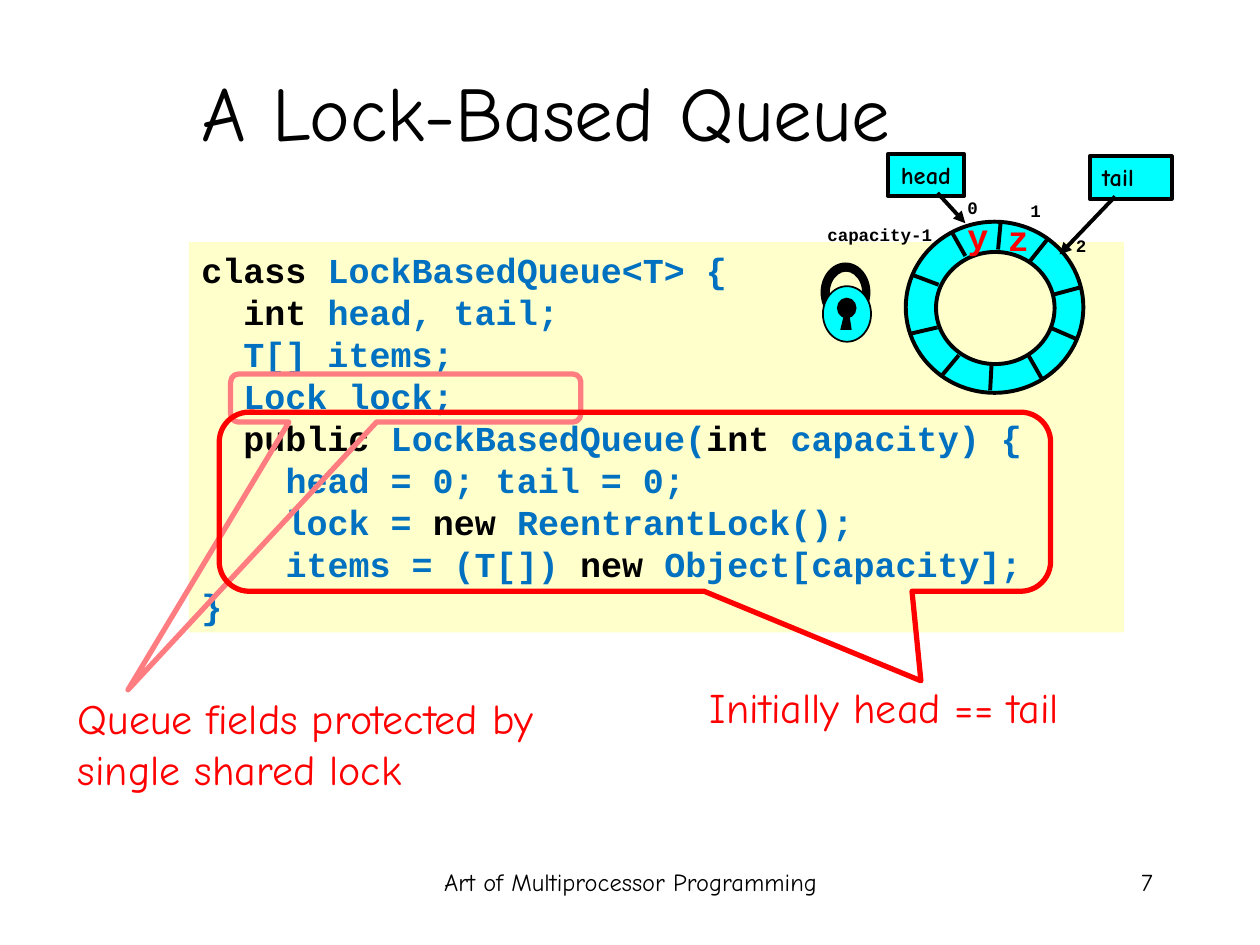
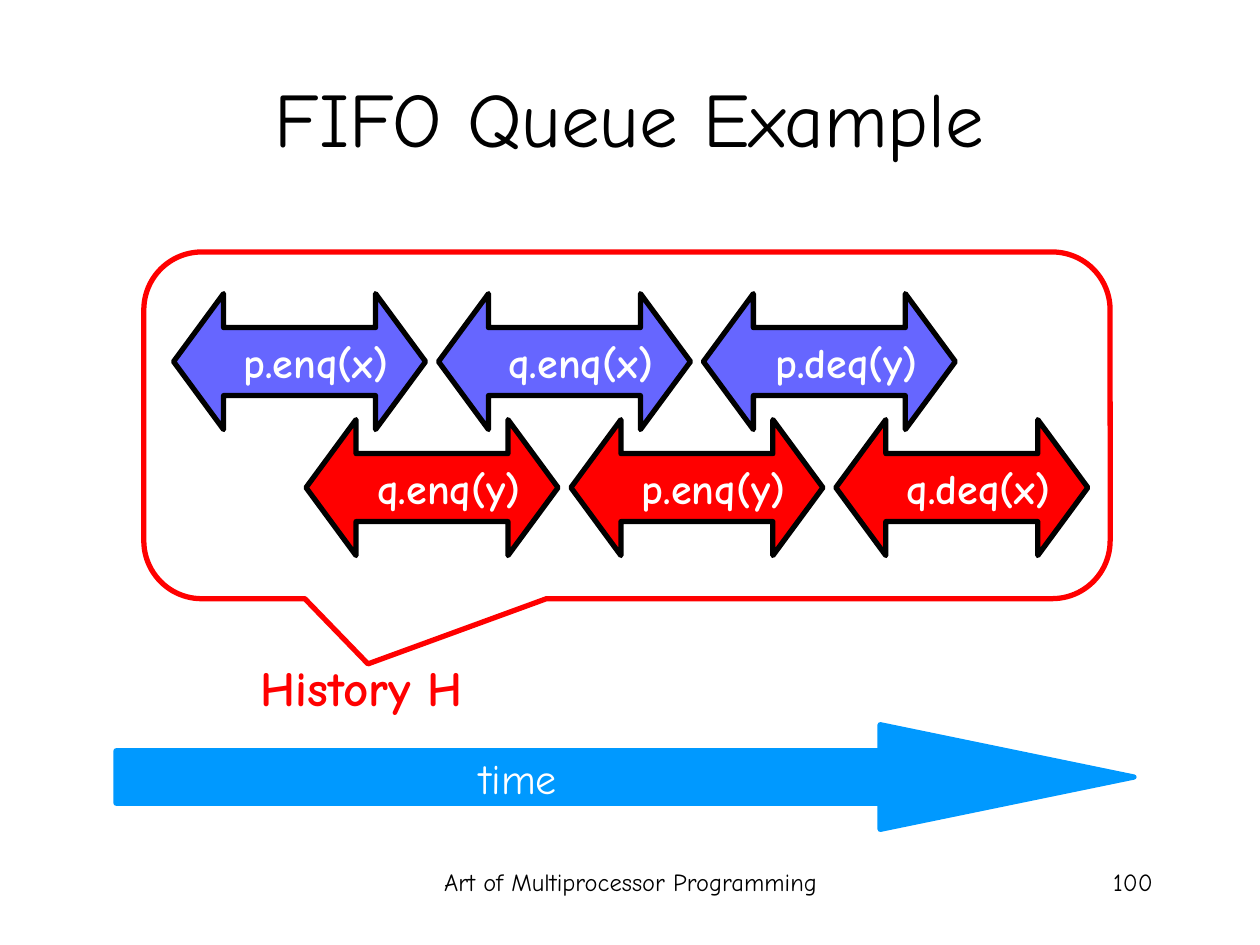
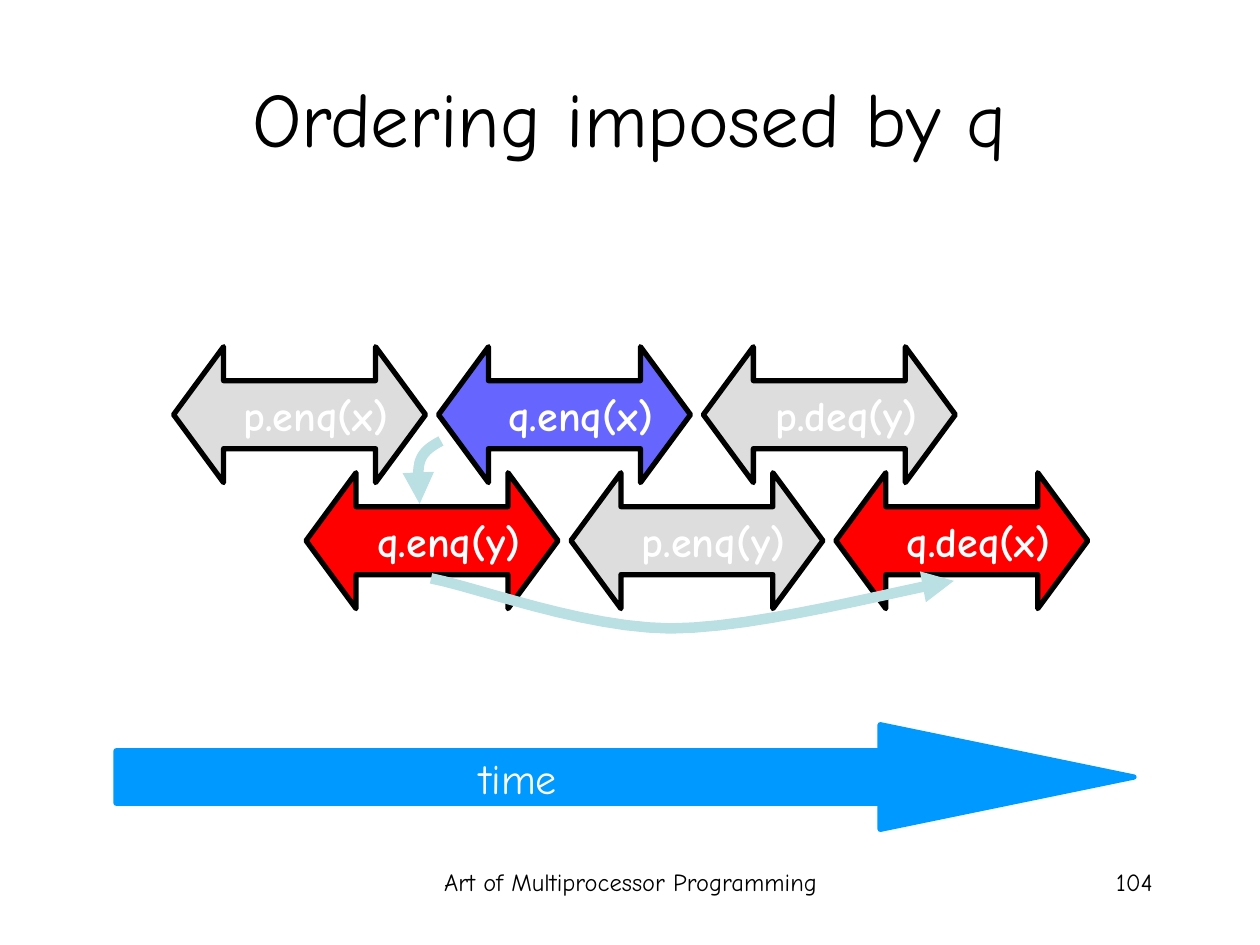
"""Build three slides on lock-based queues and the ordering of their calls."""
from lxml import etree
from pptx import Presentation, util as u
from pptx.dml.color import RGBColor as Rgb
from pptx.enum import shapes as es, text as et
from pptx.oxml.ns import qn

HUES = {"black": "000000", "white": "FFFFFF", "red": "FF0000", "pink": "FF7C80",
        "cyan": "00FFFF", "cream": "FFFFCC", "code": "0070C0", "violet": "6666FF",
        "grey": "DDDDDD", "time": "0099FF", "pale": "BBE0E3"}
INK = {k: Rgb.from_string(v) for k, v in HUES.items()}
COMIC, MONO = "Comic Neue", "Courier New"
KIND, AL, MID = es.MSO_SHAPE, et.PP_ALIGN, et.MSO_ANCHOR.MIDDLE
FIT = et.MSO_AUTO_SIZE.SHAPE_TO_FIT_TEXT


def paint(shp, fill=None, edge=None, width=3, adj=()):
    shp.shadow.inherit = False
    for part, hue in ((shp.fill, fill), (shp.line.fill, edge)):
        if hue:
            part.solid()
            part.fore_color.rgb = INK[hue]
        else:
            part.background()
    if edge:
        shp.line.width = u.Pt(width)
    for i, val in enumerate(adj):
        shp.adjustments[i] = val
    return shp


def write(shp, words, size, hues=("black",), align=AL.LEFT, bold=False, name=COMIC,
          pitch=None, **form):
    frame = shp.text_frame
    form = {"word_wrap": True, "vertical_anchor": et.MSO_ANCHOR.TOP, **form}
    for key, val in form.items():
        setattr(frame, key, val)
    face = {"name": name, "size": u.Pt(size), "bold": bold}
    for i, line in enumerate(words.split("\n")):
        para = frame.add_paragraph() if i else frame.paragraphs[0]
        para.alignment = align
        if pitch:
            para.line_spacing = u.Pt(pitch)
        for j, piece in enumerate(line.split("|")):
            if piece:
                run = para.add_run()
                run.text = piece
                for key, val in face.items():
                    setattr(run.font, key, val)
                run.font.color.rgb = INK[hues[j % len(hues)]]


deck = Presentation()
deck.slide_width, deck.slide_height = u.Cm(25.4), u.Cm(19.05)

heads = [("A Lock-Based Queue", "7", (1.27, 0.64, 20.85, 3.2), AL.LEFT, 2.8),
         ("FIFO Queue Example", "100", (1.27, 0.76, 22.86, 3.18), AL.CENTER, 0.25),
         ("Ordering imposed by q", "104", (1.27, 0.76, 22.86, 3.18), AL.CENTER, 0.25)]
for title, num, box, align, inset in heads:
    slide = deck.slides.add_slide(deck.slide_layouts[5])
    name = slide.shapes.title
    for key, val in zip(("left", "top", "width", "height"), box):
        setattr(name, key, u.Cm(val))
    write(name, title, 44, align=align, vertical_anchor=MID, margin_left=u.Cm(inset))
    for words, left, wide, align in (
            ("Art of Multiprocessor Programming", 8.69, 8.05, AL.CENTER),
            (num, 18.21, 5.28, AL.RIGHT)):
        foot = slide.shapes.add_textbox(*map(u.Cm, (left, 17.35, wide, 1.27)))
        write(foot, words, 14, align=align)
queue, fifo, order = deck.slides

CODE = """class |LockBasedQueue<T> {
  int |head, tail;
  |T[] items;
  |Lock lock;
  public |LockBasedQueue(|int |capacity) {
    |head = 0; tail = 0;
    |lock = |new |ReentrantLock();
    |items = (T[]) |new |Object[capacity];
|}"""
draw = queue.shapes
board = draw.add_shape(KIND.RECTANGLE, *map(u.Cm, (3.81, 4.88, 18.85, 7.87)))
write(paint(board, "cream"), CODE, 20, ("black", "code"), bold=True, name=MONO, pitch=24)

ovals = [((18.26, 4.47, 3.58, 3.45), "cyan", 2.25),
         ((18.87, 5.08, 2.39, 2.26), "cream", 2.25),
         ((16.56, 5.31, 0.97, 1.17), "black", 1),
         ((16.71, 5.46, 0.69, 0.91), "cream", 1),
         ((16.59, 5.77, 0.97, 1.12), "cyan", 1),
         ((16.89, 6.02, 0.36, 0.38), "black", 1)]
for box, fill, width in ovals:
    paint(draw.add_shape(KIND.OVAL, *map(u.Cm, box)), fill, "black", width)
hole = [(u.Cm(x), u.Cm(y)) for x, y in
        ((16.94, 6.65), (17.02, 6.32), (17.12, 6.32), (17.17, 6.65))]
pen = draw.build_freeform(*hole[0])
pen.add_line_segments(hole[1:], close=True)
paint(pen.convert_to_shape(), "black")

for words, box, wrap in (("head", (17.91, 3.1, 1.52, 0.86), False),
                         ("tail", (21.97, 3.15, 1.65, 0.86), True)):
    tag = draw.add_shape(KIND.RECTANGLE, *map(u.Cm, box))
    write(paint(tag, "cyan", "black", 2.25), words, 14, bold=True,
          word_wrap=wrap, auto_size=FIT)

spokes = [(18.97, 7.59, 19.33, 7.16), (20.75, 5.28, 21.11, 4.83),
          (21.23, 5.94, 21.79, 5.79), (18.34, 6.73, 18.9, 6.6),
          (18.39, 5.54, 18.92, 5.74), (21.16, 6.6, 21.69, 6.83),
          (19.2, 4.7, 19.46, 5.16), (20.17, 4.5, 20.12, 5.03),
          (20.73, 7.16, 21.01, 7.65), (19.99, 7.34, 19.96, 7.87)]
points = [(18.9, 3.89, 19.46, 4.5), (22.48, 3.96, 21.36, 5.13)]
for ends in spokes + points:
    line = draw.add_connector(es.MSO_CONNECTOR.STRAIGHT, *map(u.Cm, ends))
    line.line.color.rgb = INK["black"]
    line.line.width = u.Pt(2.25)
    if ends in points:
        etree.SubElement(line.line._get_or_add_ln(), qn("a:tailEnd"), type="triangle")
    etree.SubElement(line._element.spPr, qn("a:effectLst"))

marks = [("0", (19.25, 3.84, 0.71, 0.69), 10, "black"),
         ("1", (20.52, 3.91, 0.71, 0.69), 10, "black"),
         ("capacity-1", (16.43, 4.39, 2.62, 0.69), 10, "black"),
         ("2", (21.44, 4.62, 0.71, 0.69), 10, "black"),
         ("y", (19.25, 4.19, 0.94, 1.12), 20, "red"),
         ("z", (20.07, 4.24, 0.94, 1.12), 20, "red")]
for words, box, size, hue in marks:
    write(draw.add_textbox(*map(u.Cm, box)), words, size, (hue,), bold=True,
          name=MONO, word_wrap=False, auto_size=FIT)

calls = [(queue, (4.65, 7.54, 7.06, 0.97), "pink", (-0.793, 6.063, 0.167)),
         (queue, (4.42, 8.31, 16.76, 3.61), "red", (0.344, 1, 0.167)),
         (fifo, (2.9, 5.08, 19.48, 6.99), "red", (-0.268, 0.688, 0.167))]
notes = [("Queue fields protected by single shared lock", (1.32, 13.84, 9.83, 2.29), AL.LEFT),
         ("Initially head == tail", (12.7, 13.61, 10.26, 1.27), AL.CENTER)]
for words, box, align in notes:
    write(draw.add_textbox(*map(u.Cm, box)), words, 24, ("red",), align)

steps = ["p.enq(x)", "q.enq(y)", "q.enq(x)", "p.enq(y)", "p.deq(y)", "q.deq(x)"]
for slide, top, dim in ((fifo, 5.92, ""), (order, 6.99, "p")):
    for i, step in enumerate(steps):
        row = i % 2
        box = (3.5 + 2.67 * i, top + 2.54 * row, 5.08, 2.74)
        span = slide.shapes.add_shape(KIND.LEFT_RIGHT_ARROW, *map(u.Cm, box))
        fill = "grey" if step[0] == dim else ("violet", "red")[row]
        write(paint(span, fill, "black", adj=(0.5, 0.368)), step, 24, ("white",),
              AL.RIGHT, True, word_wrap=False, vertical_anchor=MID)
    axis = slide.shapes.add_shape(KIND.RIGHT_ARROW, *map(u.Cm, (2.34, 14.61, 20.52, 2.11)))
    paint(axis, "time", "time", adj=(0.5, 2.425))
    label = slide.shapes.add_textbox(*map(u.Cm, (9.42, 15.04, 2.06, 1.27)))
    write(label, "time", 24, ("white",), AL.RIGHT, word_wrap=False, auto_size=FIT)

for slide, box, edge, adj in calls:
    call = slide.shapes.add_shape(KIND.ROUNDED_RECTANGULAR_CALLOUT, *map(u.Cm, box))
    paint(call, None, edge, adj=adj)
past = fifo.shapes.add_textbox(*map(u.Cm, (4.98, 13.13, 4.6, 1.45)))
write(past, "History H", 28, ("red",), AL.RIGHT, True, word_wrap=False, auto_size=FIT)

curves = [[(19.23, 11.71), (18.26, 11.86), (15.27, 12.67), (13.51, 12.67),
           (11.76, 12.65), (9.68, 11.86), (8.69, 11.66)],
          [(8.46, 10.16), (8.43, 9.86), (8.41, 9.53), (8.46, 9.32),
           (8.53, 9.09), (8.71, 8.99), (8.89, 8.89)]]
for curve in curves:
    pen = order.shapes.build_freeform(*map(u.Cm, curve[0]))
    for k in (0, 3):
        for t in (n / 12 for n in range(1, 13)):
            mix = ((1 - t) ** 3, 3 * t * (1 - t) ** 2, 3 * t * t * (1 - t), t ** 3)
            spot = [u.Cm(sum(m * p[d] for m, p in zip(mix, curve[k:k + 4])))
                    for d in (0, 1)]
            pen.add_line_segments([spot], close=False)
    bend = paint(pen.convert_to_shape(), None, "pale", 6)
    etree.SubElement(bend.line._get_or_add_ln(), qn("a:headEnd"), type="triangle")

deck.save("out.pptx")
